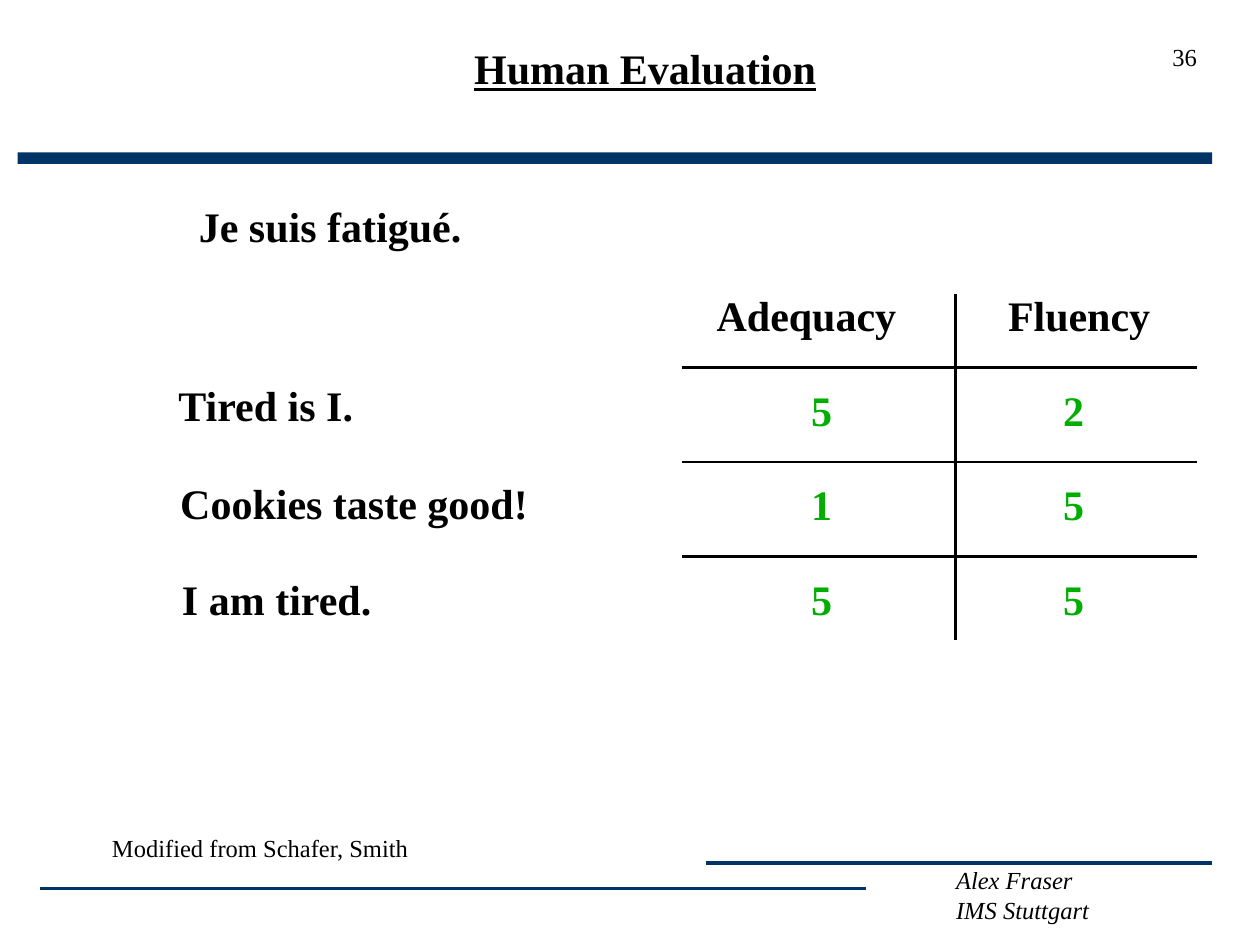
from lxml import etree
from pptx import Presentation
from pptx import util as u
from pptx.dml.color import RGBColor
from pptx.enum import shapes, text
from pptx.oxml.ns import qn

NAVY = RGBColor(0x00, 0x33, 0x66)
BLACK = RGBColor(0x00, 0x00, 0x00)
GREEN = RGBColor(0x00, 0xAE, 0x00)
FONT = "Times New Roman"
LEFT, CENTER = text.PP_ALIGN.LEFT, text.PP_ALIGN.CENTER
TOP, MIDDLE = text.MSO_ANCHOR.TOP, text.MSO_ANCHOR.MIDDLE

presentation = Presentation()
presentation.slide_width = u.Inches(10)
presentation.slide_height = u.Inches(7.5)
slide = presentation.slides.add_slide(presentation.slide_layouts[6])

# The slide is a grid of 120 columns by 90 rows of square units
UNIT = presentation.slide_width / 120


def add_text(lines, column, row, columns, rows=6, size=24, color=BLACK, bold=True,
             italic=False, underline=False, align=CENTER, anchor=TOP):
    box = slide.shapes.add_textbox(*(round(n * UNIT) for n in (column, row, columns, rows)))
    frame = box.text_frame
    frame.word_wrap = False
    frame.vertical_anchor = anchor
    if anchor == TOP:
        frame.auto_size = text.MSO_AUTO_SIZE.SHAPE_TO_FIT_TEXT
    for index, line in enumerate(lines):
        paragraph = frame.add_paragraph() if index else frame.paragraphs[0]
        paragraph.alignment = align
        run = paragraph.add_run()
        run.text = line
        font = run.font
        font.name, font.size, font.color.rgb = FONT, u.Pt(size), color
        font.bold, font.italic, font.underline = bold, italic, underline


def add_line(start_column, start_row, end_column, end_row, color, width):
    line = slide.shapes.add_connector(
        shapes.MSO_CONNECTOR.STRAIGHT,
        *(round(n * UNIT) for n in (start_column, start_row, end_column, end_row)))
    line.line.color.rgb = color
    line.line.width = u.Pt(width)
    etree.SubElement(line._element.spPr, qn("a:effectLst"))


# Header bar
bar = slide.shapes.add_shape(shapes.MSO_SHAPE.RECTANGLE,
                             *(round(n * UNIT) for n in (1.68, 14.52, 113.76, 1.08)))
bar.shadow.inherit = False
bar.fill.solid()
bar.fill.fore_color.rgb = NAVY
bar.line.fill.background()

# Footer rules, author, source and slide number
add_line(3.84, 84.6, 82.44, 84.6, NAVY, 2)
add_line(67.2, 82.2, 115.44, 82.2, NAVY, 2)
add_text(["Alex Fraser", "IMS Stuttgart"], 89.88, 81.84, 15.24, 6.84,
         size=14, bold=False, italic=True, align=LEFT)
add_text(["Modified from Schafer, Smith"], 9.48, 77.76, 32,
         size=14, bold=False, align=LEFT, anchor=MIDDLE)
add_text(["36"], 100.32, 2.4, 25, size=14, bold=False, anchor=MIDDLE)

# Title and source sentence, with widths that hold each on one line
add_text(["Human Evaluation"], 43.44, 3.48, 36, underline=True)
add_text(["Je suis fatigué."], 17.76, 18.48, 27.36)

# Candidate translations
for sentence, column, row, columns in (
    ("Tired is I.", 15.72, 35.52, 19.2),
    ("Cookies taste good!", 15.96, 44.88, 35.52),
    ("I am tired.", 16.08, 54, 20.52),
):
    add_text([sentence], column, row, columns)

# Score grid: headings, rules and scores
FIRST_RULE, ROW_STEP = 35, 9
add_text(["Adequacy"], 66.8, FIRST_RULE - ROW_STEP + 1, 20)
add_text(["Fluency"], 94.8, FIRST_RULE - ROW_STEP + 1, 15.96)
add_line(91, 28, 91, 61, BLACK, 1.5)
for index, scores in enumerate((("5", "2"), ("1", "5"), ("5", "5"))):
    rule = FIRST_RULE + index * ROW_STEP
    add_line(65, rule, 114, rule, BLACK, 1.5)
    for score, column in zip(scores, (76.08, 100.08)):
        add_text([score], column, rule + 1, 4.32, color=GREEN)

presentation.save("out.pptx")
